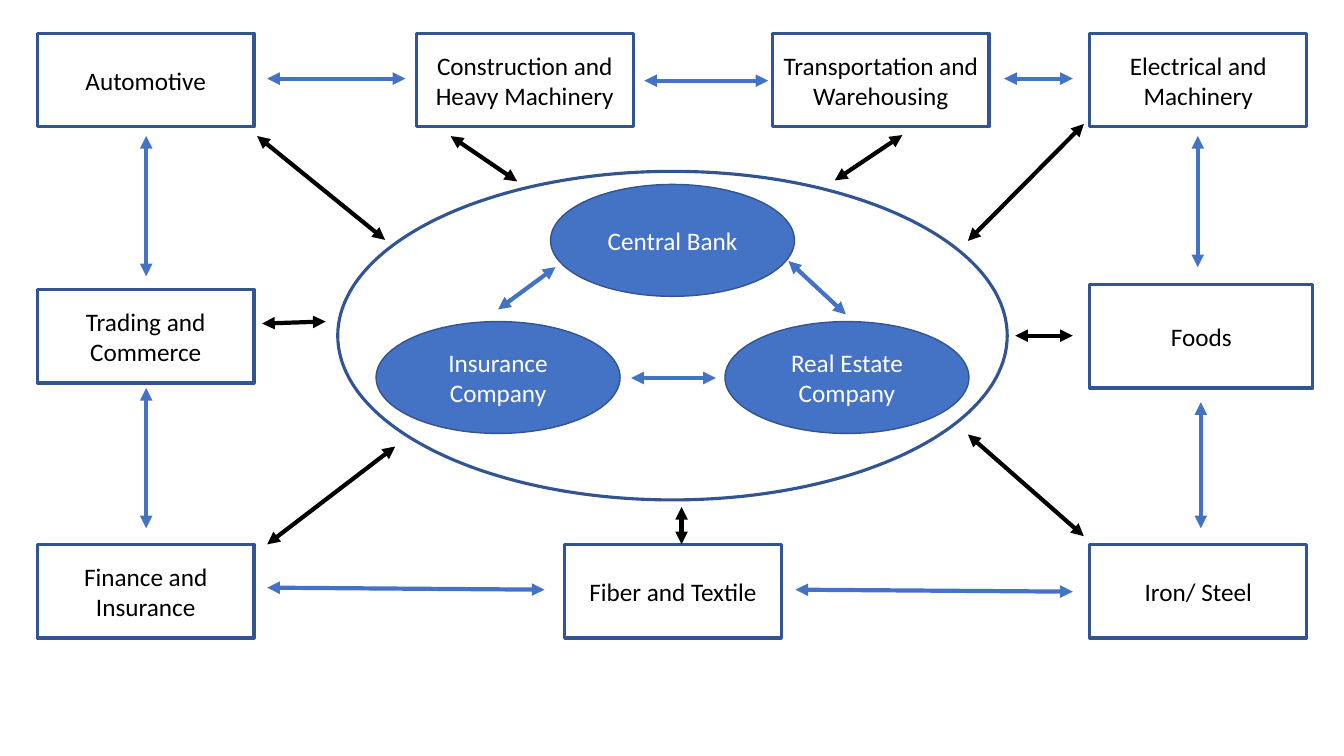
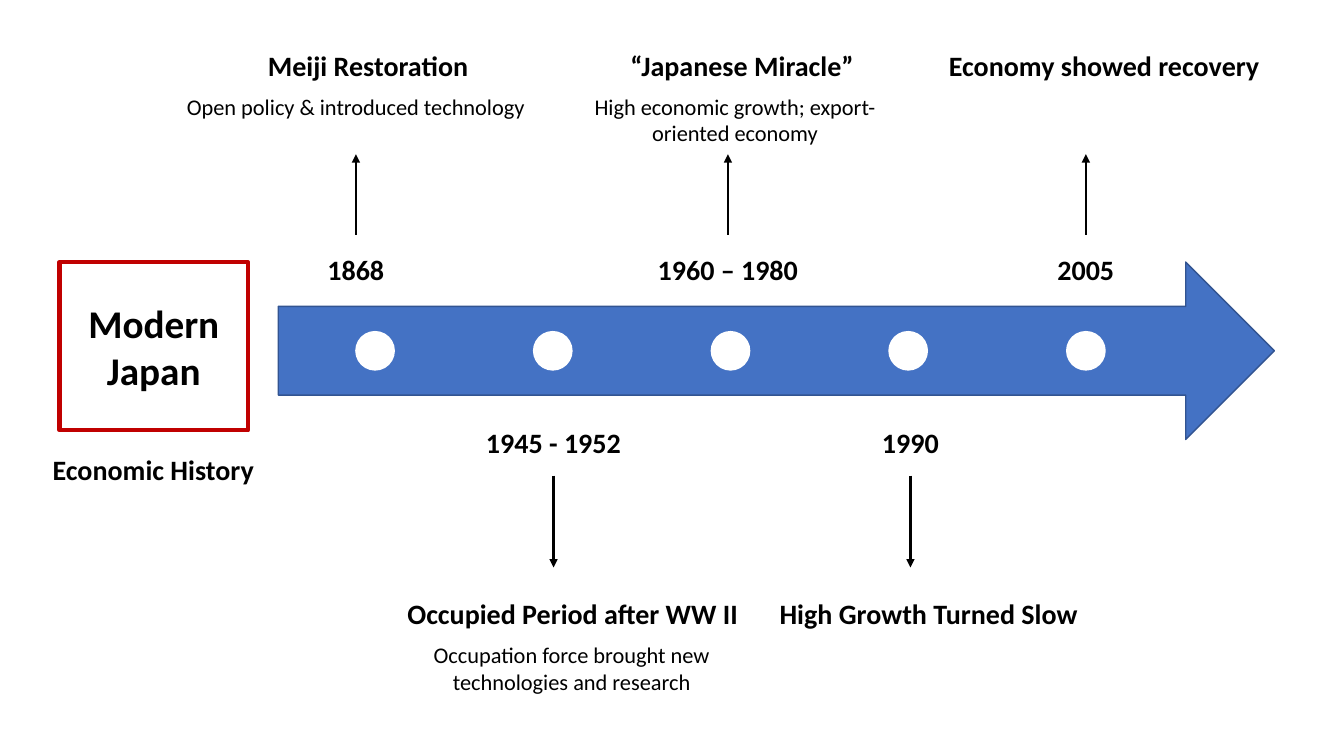
from lxml import etree
from pptx import Presentation
from pptx import util as u
from pptx.dml.color import RGBColor
from pptx.enum import shapes, text
from pptx.oxml.ns import qn

FONT = "Calibri"
COLORS = {"blue": "4472C4", "outline": "325491", "red": "C00000",
          "black": "000000", "white": "FFFFFF"}
SHAPE = shapes.MSO_SHAPE

# Slide 1: industries around the financial core
BOX_W, BOX_H = 2.15, 0.93
LEFT, RIGHT = 0.37, 10.81
TOP, MIDDLE, BOTTOM = 0.33, 2.87, 5.4
INDUSTRIES = [  # name, left, top
    ("Electrical and Machinery", RIGHT, TOP),
    ("Transportation and Warehousing", 7.66, TOP),
    ("Construction and Heavy Machinery", 4.13, TOP),
    ("Automotive", LEFT, TOP),
    ("Trading and Commerce", LEFT, MIDDLE),
    ("Finance and Insurance", LEFT, BOTTOM),
    ("Fiber and Textile", 5.6, BOTTOM),
    ("Iron/ Steel", RIGHT, BOTTOM),
]
FOODS = ("Foods", RIGHT, 2.82, 2.21, 1.03)
CORE = (3.35, 1.7, 6.64, 3.26)
INSTITUTION_W, INSTITUTION_H = 2.42, 1.11
INSTITUTIONS = [
    ("Central Bank", 5.46, 1.83),
    ("Real Estate Company", 7.19, 3.19),
    ("Insurance Company", 3.73, 3.19),
]
LINKS = {  # x1, y1, x2, y2
    "blue": [
        # between institutions
        (6.26, 3.75, 7.1, 3.75), (7.82, 2.59, 8.39, 3.12), (5.51, 2.65, 4.94, 3.07),
        # along the bottom and top rows
        (7.89, 5.85, 10.64, 5.87), (2.65, 5.83, 5.4, 5.85),
        (2.65, 0.78, 4.02, 0.78), (6.39, 0.8, 7.62, 0.8), (9.96, 0.78, 10.64, 0.78),
        # down the left and right columns
        (1.45, 1.35, 1.45, 2.74), (1.45, 3.85, 1.45, 5.24),
        (11.88, 1.35, 11.88, 2.65), (11.91, 3.99, 11.91, 5.24),
    ],
    "black": [  # from the core outwards
        (3.82, 2.38, 2.55, 1.35), (3.23, 3.19, 2.6, 3.21), (10.64, 3.33, 10.07, 3.33),
        (3.92, 4.43, 2.65, 5.4), (9.6, 4.31, 10.75, 5.32), (9.6, 2.39, 10.75, 1.23),
        (6.76, 5.4, 6.76, 5.03), (8.28, 1.79, 8.95, 1.34), (5.13, 1.8, 4.47, 1.35),
    ],
}

# Slide 2: timeline
TIMELINE = (2.76, 2.6, 9.88, 1.76)
DOT, DOT_TOP, FIRST_DOT, LAST_DOT = 0.38, 3.29, 3.53, 10.58
LABEL_H, DETAIL_W = 0.44, 3.61
SIDES = {  # tops of the text rows, ends of the arrow
    "above": {"date": 2.46, "arrow": (2.33, 1.53), "title": 0.43, "detail": 0.87},
    "below": {"date": 4.17, "arrow": (4.72, 5.63), "title": 5.87, "detail": 6.31},
}
EVENTS = [  # date, its width, arrow x, title, its centre and width, detail, its centre
    ("1868", 0.77, 3.53, "Meiji Restoration", 3.65, 2.21,
     "Open policy & introduced technology", 3.53),
    ("1945 - 1952", 1.55, 5.49, "Occupied Period after WW II", 5.68, 3.52,
     "Occupation force brought new technologies and research", 5.67),
    ("1960 – 1980", 1.67, 7.22, "“Japanese Miracle”", 7.36, 2.44,
     "High economic growth; export-oriented economy", 7.29),
    ("1990", 0.77, 9.03, "High Growth Turned Slow", 9.21, 3.18, None, None),
    ("2005", 0.77, 10.77, "Economy showed recovery", 10.95, 3.31, None, None),
]


def rgb(name):
    return RGBColor.from_string(COLORS[name])


def add_text(tf, words, size, color="black", bold=False):
    p = tf.paragraphs[0]
    p.alignment = text.PP_ALIGN.CENTER
    r = p.add_run()
    r.text = words
    r.font.name, r.font.size, r.font.bold = FONT, u.Pt(size), bold
    r.font.color.rgb = rgb(color)


def add_shape(slide, kind, at, fill=None, line="outline", width=1.0):
    sp = slide.shapes.add_shape(kind, *map(u.Inches, at))
    sp.shadow.inherit = False
    if fill:
        sp.fill.solid()
        sp.fill.fore_color.rgb = rgb(fill)
    else:
        sp.fill.background()
    sp.line.color.rgb = rgb(line)
    sp.line.width = u.Pt(width)
    sp.text_frame.word_wrap = True
    sp.text_frame.vertical_anchor = text.MSO_ANCHOR.MIDDLE
    return sp


def add_arrow(slide, ends, color, width, both=False):
    line = slide.shapes.add_connector(shapes.MSO_CONNECTOR.STRAIGHT, *map(u.Inches, ends))
    line.line.color.rgb = rgb(color)
    line.line.width = u.Pt(width)
    ln = line.line._get_or_add_ln()
    for tag in ("a:headEnd", "a:tailEnd") if both else ("a:tailEnd",):
        etree.SubElement(ln, qn(tag), type="triangle")
    etree.SubElement(line._element.spPr, qn("a:effectLst"))


def add_label(slide, words, center, top, width, size=20, bold=True, wrap=False):
    box = slide.shapes.add_textbox(u.Inches(center - width / 2), u.Inches(top),
                                   u.Inches(width), u.Inches(LABEL_H))
    box.text_frame.word_wrap = wrap
    box.text_frame.auto_size = text.MSO_AUTO_SIZE.SHAPE_TO_FIT_TEXT
    add_text(box.text_frame, words, size, bold=bold)


def build_network(slide):
    for name, x, y in INSTITUTIONS:
        sp = add_shape(slide, SHAPE.OVAL, (x, y, INSTITUTION_W, INSTITUTION_H), "blue")
        add_text(sp.text_frame, name, 18, "white")
    add_shape(slide, SHAPE.OVAL, CORE, width=2.25)
    boxes = [(name, x, y, BOX_W, BOX_H) for name, x, y in INDUSTRIES]
    for name, *at in boxes + [FOODS]:
        sp = add_shape(slide, SHAPE.RECTANGLE, at, width=2.25)
        add_text(sp.text_frame, name, 18)
    for color, links in LINKS.items():
        for ends in links:
            add_arrow(slide, ends, color, 3, both=True)


def build_timeline(slide):
    add_shape(slide, SHAPE.RIGHT_ARROW, TIMELINE, "blue")
    step = (LAST_DOT - FIRST_DOT) / (len(EVENTS) - 1)

    # Heading block
    sp = add_shape(slide, SHAPE.RECTANGLE, (0.59, 2.6, 1.87, 1.67), line="red", width=3)
    add_text(sp.text_frame, "Modern Japan", 28, bold=True)
    add_label(slide, "Economic History", 1.52, 4.44, 2.21)

    # Events alternate above and below the band
    for i, (date, date_w, x, title, title_x, title_w, detail, detail_x) in enumerate(EVENTS):
        side = SIDES["below" if i % 2 else "above"]
        add_shape(slide, SHAPE.OVAL, (FIRST_DOT + i * step, DOT_TOP, DOT, DOT), "white", "white")
        start, end = side["arrow"]
        add_arrow(slide, (x, start, x, end), "black", 1.5)
        add_label(slide, date, x, side["date"], date_w)
        add_label(slide, title, title_x, side["title"], title_w)
        if detail:
            add_label(slide, detail, detail_x, side["detail"], DETAIL_W, 16, False, True)


def main():
    prs = Presentation()
    prs.slide_width, prs.slide_height = u.Inches(13.33), u.Inches(7.5)
    for build in (build_network, build_timeline):
        build(prs.slides.add_slide(prs.slide_layouts[6]))
    prs.save("out.pptx")


if __name__ == "__main__":
    main()
